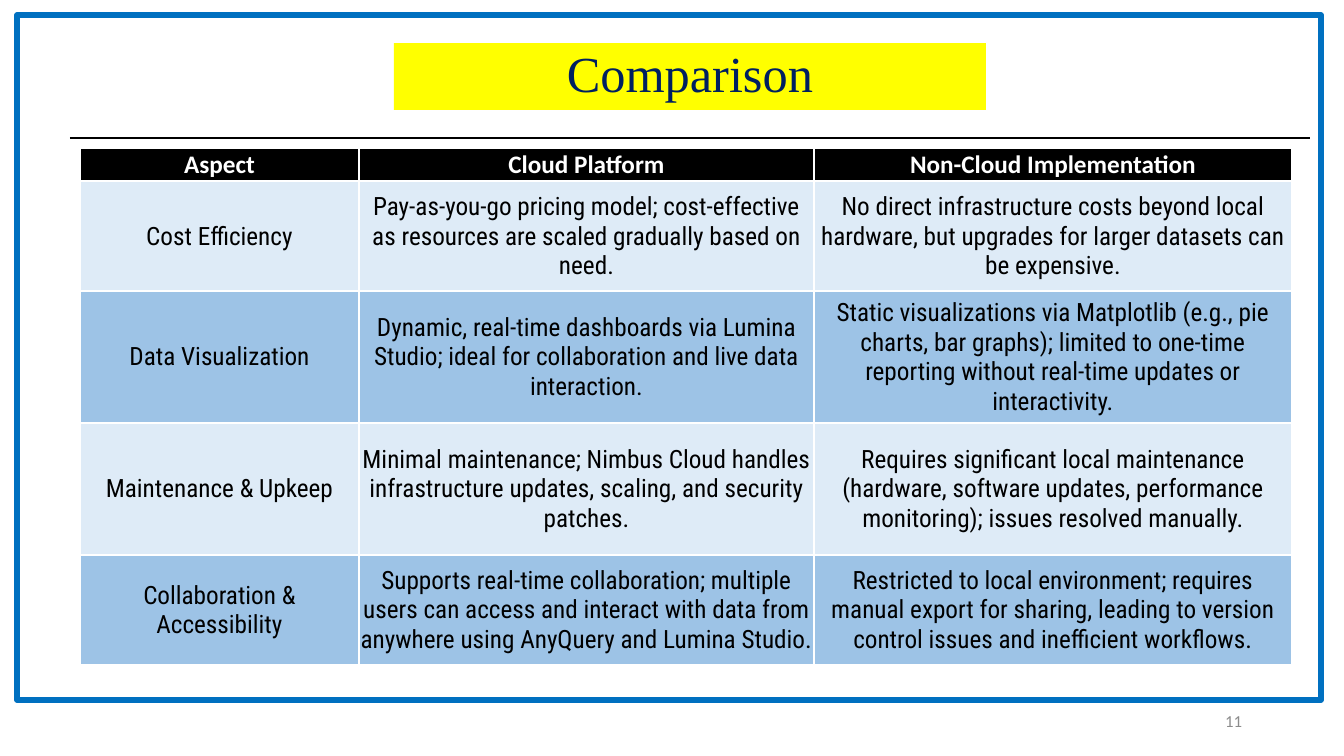
import pptx
import pptx.util
import pptx.dml.color
import pptx.enum.shapes
import pptx.enum.text
import pptx.oxml
import pptx.oxml.ns

RGBColor = pptx.dml.color.RGBColor
PP_ALIGN = pptx.enum.text.PP_ALIGN
MIDDLE = pptx.enum.text.MSO_ANCHOR.MIDDLE

PX_PER_INCH = 100.8
SLIDE_WIDTH, SLIDE_HEIGHT = 1344, 756

BLACK = RGBColor(0x00, 0x00, 0x00)
WHITE = RGBColor(0xFF, 0xFF, 0xFF)
GREY = RGBColor(0x8C, 0x8C, 0x8C)
NAVY = RGBColor(0x00, 0x20, 0x60)
YELLOW = RGBColor(0xFF, 0xFF, 0x00)
FRAME_BLUE = RGBColor(0x00, 0x70, 0xC0)
PALE_BLUE = RGBColor(0xDE, 0xEB, 0xF7)
MID_BLUE = RGBColor(0x9D, 0xC3, 0xE6)

COLUMN_WIDTHS = [279, 455, 478]
ROW_HEIGHTS = [33, 110, 132, 132, 110]
COMPARISON = [
    ("Aspect", "Cloud Platform", "Non-Cloud Implementation"),
    ("Cost Efficiency",
     "Pay-as-you-go pricing model; cost-effective as resources are scaled "
     "gradually based on need.",
     "No direct infrastructure costs beyond local hardware, but upgrades for "
     "larger datasets can be expensive."),
    ("Data Visualization",
     "Dynamic, real-time dashboards via Lumina Studio; ideal for "
     "collaboration and live data interaction.",
     "Static visualizations via Matplotlib (e.g., pie charts, bar graphs); "
     "limited to one-time reporting without real-time updates or "
     "interactivity."),
    ("Maintenance & Upkeep",
     "Minimal maintenance; Nimbus Cloud handles infrastructure updates, "
     "scaling, and security patches.",
     "Requires significant local maintenance (hardware, software updates, "
     "performance monitoring); issues resolved manually."),
    ("Collaboration & Accessibility",
     "Supports real-time collaboration; multiple users can access and "
     "interact with data from anywhere using AnyQuery and Lumina Studio.",
     "Restricted to local environment; requires manual export for sharing, "
     "leading to version control issues and inefficient workflows."),
]


def px(length):
    return pptx.util.Inches(length / PX_PER_INCH)


def style(paragraph, font_name, size, color, alignment, bold=False):
    paragraph.alignment = alignment
    paragraph.font.name = font_name
    paragraph.font.size = pptx.util.Pt(size)
    paragraph.font.color.rgb = color
    paragraph.font.bold = bold


def add_title(slide, left, top, width, height):
    title = slide.shapes.title
    title.left, title.top = px(left), px(top)
    title.width, title.height = px(width), px(height)
    title.fill.solid()
    title.fill.fore_color.rgb = YELLOW
    title.text_frame.text = "Comparison"
    title.text_frame.auto_size = pptx.enum.text.MSO_AUTO_SIZE.NONE
    title.text_frame.vertical_anchor = MIDDLE
    heading = title.text_frame.paragraphs[0]
    heading.line_spacing = 0.9
    style(heading, "Times New Roman", 36, NAVY, PP_ALIGN.CENTER)


def add_page_number(slide, left, top, width, height):
    page_number = slide.shapes.add_textbox(px(left), px(top), px(width), px(height))
    page_number.text_frame.word_wrap = True
    page_number.text_frame.vertical_anchor = MIDDLE
    page_number.text_frame.text = "11"
    style(page_number.text_frame.paragraphs[0], "Calibri", 12, GREY, PP_ALIGN.RIGHT)


def add_divider(slide, left, top, width):
    divider = slide.shapes.add_connector(
        pptx.enum.shapes.MSO_CONNECTOR.STRAIGHT,
        px(left), px(top), px(left + width), px(top))
    divider.line.color.rgb = BLACK
    divider.line.width = pptx.util.Pt(1.25)
    properties = divider._element.spPr
    properties.append(pptx.oxml.parse_xml(
        f'<a:effectLst {pptx.oxml.ns.nsdecls("a")}/>'))


def add_frame(slide, left, top, width, height):
    frame = slide.shapes.add_shape(
        pptx.enum.shapes.MSO_SHAPE.RECTANGLE,
        px(left), px(top), px(width), px(height))
    frame.shadow.inherit = False
    frame.fill.background()
    frame.line.color.rgb = FRAME_BLUE
    frame.line.width = pptx.util.Pt(4)


def add_borders(cell):
    properties = cell._tc.get_or_add_tcPr()
    for side in ("lnL", "lnR", "lnT", "lnB"):
        properties.append(pptx.oxml.parse_xml(
            f'<a:{side} {pptx.oxml.ns.nsdecls("a")} w="12700"><a:solidFill>'
            f'<a:srgbClr val="{WHITE}"/></a:solidFill></a:{side}>'))


def fill_cell(cell, text, row):
    cell.text = text
    cell.vertical_anchor = MIDDLE
    cell.margin_left = cell.margin_right = cell.margin_top = px(1)
    cell.margin_bottom = 0
    add_borders(cell)
    cell.fill.solid()
    paragraph = cell.text_frame.paragraphs[0]
    if row == 0:
        cell.fill.fore_color.rgb = BLACK
        style(paragraph, "Calibri", 18, WHITE, PP_ALIGN.CENTER, bold=True)
    else:
        cell.fill.fore_color.rgb = PALE_BLUE if row % 2 else MID_BLUE
        style(paragraph, "Roboto Condensed", 18, BLACK, PP_ALIGN.CENTER)


def add_comparison_table(slide, left, top):
    table = slide.shapes.add_table(
        len(ROW_HEIGHTS), len(COLUMN_WIDTHS), px(left), px(top),
        px(sum(COLUMN_WIDTHS)), px(sum(ROW_HEIGHTS))).table
    for column, width in zip(table.columns, COLUMN_WIDTHS):
        column.width = px(width)
    for row, height in enumerate(ROW_HEIGHTS):
        table.rows[row].height = px(height)
        for column, text in enumerate(COMPARISON[row]):
            fill_cell(table.cell(row, column), text, row)


def main():
    presentation = pptx.Presentation()
    presentation.slide_width = px(SLIDE_WIDTH)
    presentation.slide_height = px(SLIDE_HEIGHT)
    title_only = presentation.slide_layouts[5]
    slide = presentation.slides.add_slide(title_only)

    # Heading and page furniture
    add_title(slide, 394, 43, 592, 67)
    add_page_number(slide, 950, 701, 302, 40)
    add_divider(slide, 70, 138, 1240)
    add_frame(slide, 17, 15, 1304, 685)

    # Cloud against non-cloud
    add_comparison_table(slide, 80, 148)

    presentation.save("out.pptx")


if __name__ == "__main__":
    main()
